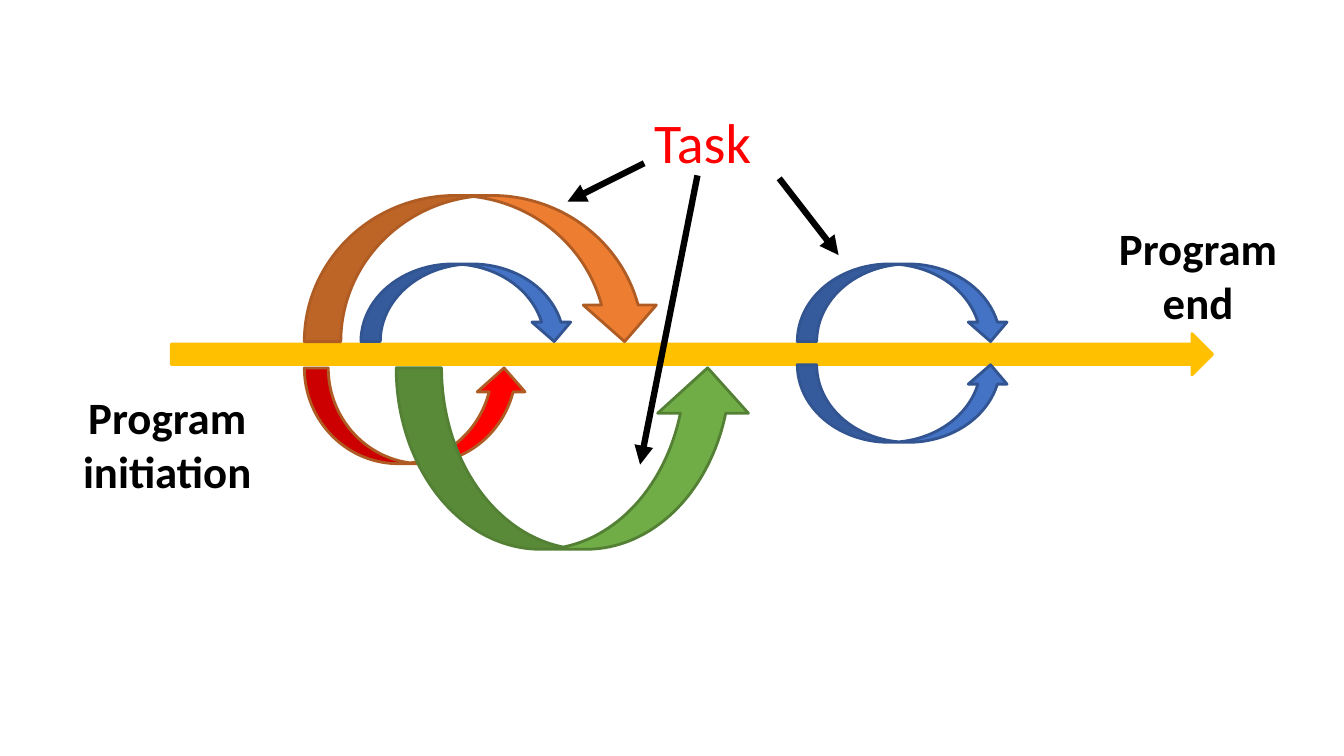
from lxml import etree
from pptx import Presentation
from pptx.dml.color import RGBColor
from pptx.enum import shapes, text
from pptx.oxml import ns
from pptx.util import Pt


def paint(target, color):
    target.solid()
    target.fore_color.rgb = RGBColor.from_string(color)


def add_arrow(preset, box, fill, outline):
    arrow = slide.shapes.add_shape(preset, *map(Pt, box))
    arrow.shadow.inherit = False
    paint(arrow.fill, fill)
    paint(arrow.line.fill, outline)
    arrow.line.width = Pt(2)
    return arrow


deck = Presentation()
deck.slide_width, deck.slide_height = Pt(960), Pt(540)
slide = deck.slides.add_slide(deck.slide_layouts[6])
PRESET = shapes.MSO_SHAPE

# Program timeline
add_arrow(PRESET.RIGHT_ARROW, (122.4, 238.3, 743.8, 29.5), "FFC000", "FFC000")

# Task loops: above the timeline they end at UPPER, below they start at LOWER
UPPER, LOWER = 244, 262.8
DOWN, UP = PRESET.CURVED_DOWN_ARROW, PRESET.CURVED_UP_ARROW
BLUE, NAVY = "4472C4", "325491"
task_loops = [
    (DOWN, 257.8, UPPER - 55.4, 151.9, 55.4, BLUE, NAVY, False),
    (UP, 217.4, LOWER, 159.8, 68.4, "FF0000", "AF5C24", False),
    (DOWN, 217.4, UPPER - 104.4, 254.9, 104.4, "ED7D31", "AF5C24", False),
    (DOWN, 283, LOWER, 254.9, 129.6, "70AD47", "538035", True),
    (DOWN, 569.5, UPPER - 55.4, 151.9, 55.4, BLUE, NAVY, False),
    (DOWN, 569.5, LOWER - 2.2, 151.9, 55.4, BLUE, NAVY, True),
]
for preset, left, top, width, height, fill, outline, mirrored in task_loops:
    loop = add_arrow(preset, (left, top, width, height), fill, outline)
    if mirrored:
        loop.element.spPr.xfrm.set("flipV", "1")

# Labels
CENTER, LEFT = text.PP_ALIGN.CENTER, text.PP_ALIGN.LEFT
labels = [
    ("Program initiation", (46.8, 275, 145.4, 160.6), 32, True, "000000", CENTER),
    ("Program end", (790.6, 154.1, 130.3, 122.4), 32, True, "000000", CENTER),
    ("Task", (460.1, 73.4, 208.8, 55.4), 40, False, "FF0000", LEFT),
]
for wording, box, size, bold, color, align in labels:
    frame = slide.shapes.add_textbox(*map(Pt, box)).text_frame
    frame.word_wrap = True
    frame.text = wording
    paragraph = frame.paragraphs[0]
    paragraph.alignment = align
    font = paragraph.runs[0].font
    font.name, font.size, font.bold = "Calibri", Pt(size), bold
    paint(font.fill, color)

# Pointers from the task label to the loops
pointers = [
    (460.1, 116.6, 405.4, 144),
    (556.6, 127.4, 599, 182.2),
    (498.2, 125.3, 457.2, 331.9),
]
for ends in pointers:
    pointer = slide.shapes.add_connector(shapes.MSO_CONNECTOR.STRAIGHT, *map(Pt, ends))
    paint(pointer.line.fill, "000000")
    pointer.line.width = Pt(4.5)
    etree.SubElement(pointer.line._get_or_add_ln(), ns.qn("a:tailEnd"), type="triangle")
    etree.SubElement(pointer.element.spPr, ns.qn("a:effectLst"))

deck.save("out.pptx")
